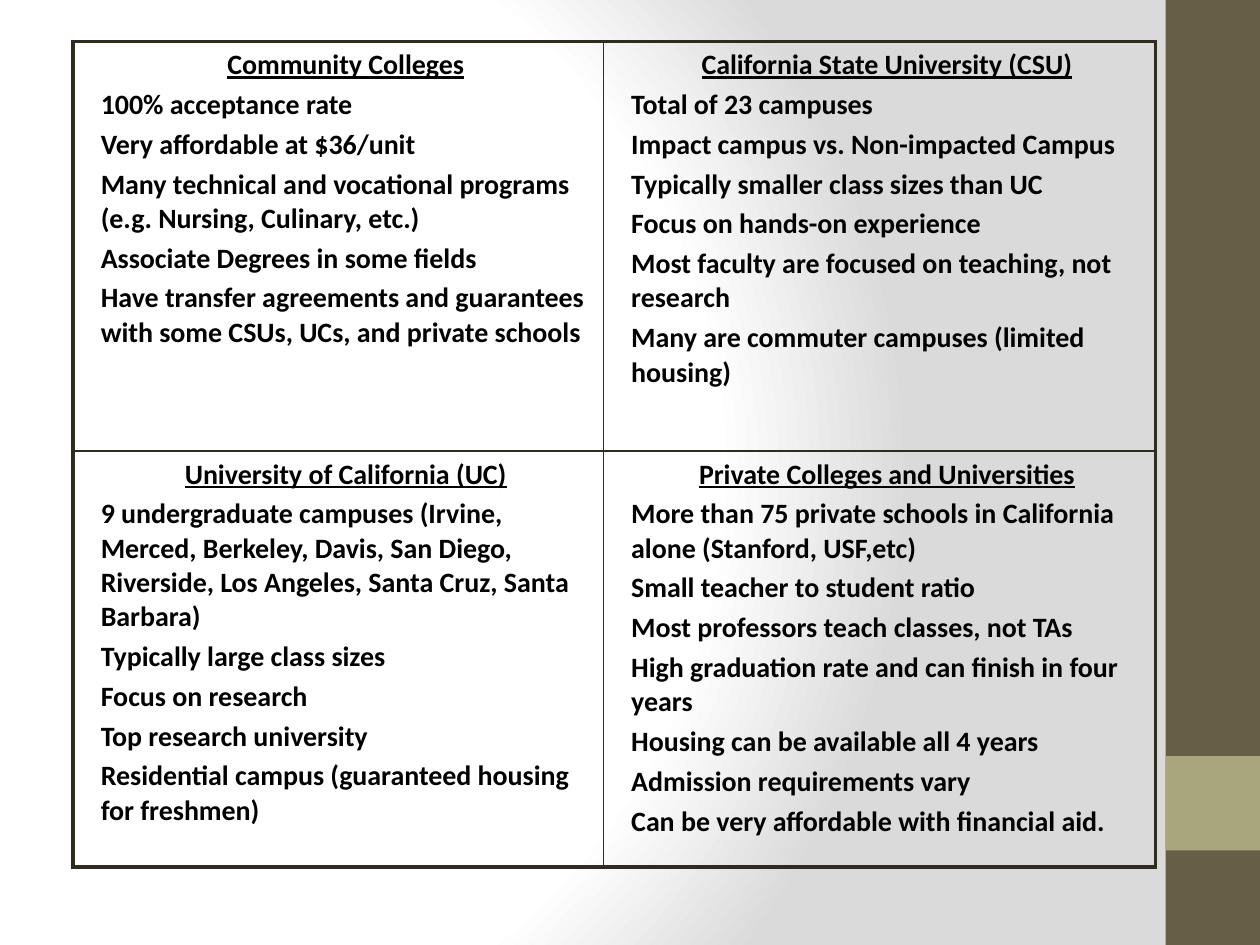
from lxml import etree
from pptx import Presentation, util as u
from pptx.dml.color import RGBColor
from pptx.enum import shapes, text
from pptx.oxml import parse_xml
from pptx.oxml.ns import nsdecls, qn

COLORS = {
    "text": "000000", "border": "2F2B20", "sidebar": "675E47",
    "accent": "A9A57C", "light": "FFFFFF", "shade": "DADADA",
}

# Content: two rows of two college systems, each a heading and its facts
SYSTEMS = [
    [
        ("Community Colleges", [
            "100% acceptance rate",
            "Very affordable at $36/unit",
            "Many technical and vocational programs (e.g. Nursing, Culinary, etc.)",
            "Associate Degrees in some fields",
            "Have transfer agreements and guarantees with some CSUs, UCs, and private schools",
        ]),
        ("California State University (CSU)", [
            "Total of 23 campuses",
            "Impact campus vs. Non-impacted Campus",
            "Typically smaller class sizes than UC",
            "Focus on hands-on experience",
            "Most faculty are focused on teaching, not research",
            "Many are commuter campuses (limited housing)",
        ]),
    ],
    [
        ("University of California (UC)", [
            "9 undergraduate campuses (Irvine, Merced, Berkeley, Davis, San Diego, "
            "Riverside, Los Angeles, Santa Cruz, Santa Barbara)",
            "Typically large class sizes",
            "Focus on research",
            "Top research university",
            "Residential campus (guaranteed housing for freshmen)",
        ]),
        ("Private Colleges and Universities", [
            "More than 75 private schools in California alone (Stanford, USF,etc)",
            "Small teacher to student ratio",
            "Most professors teach classes, not TAs",
            "High graduation rate and can finish in four years",
            "Housing can be available all 4 years",
            "Admission requirements vary",
            "Can be very affordable with financial aid.",
        ]),
    ],
]
COLUMN_WIDTHS = [4.21, 4.38]
ROW_HEIGHTS = [3.25, 3.3]
SIDEBAR = [("sidebar", 0, 7.5), ("accent", 6, 0.75)]  # colour, top, height
BACKGROUND_STOPS = [(0, "light"), (75, "light"), (100, "shade")]
OUTER, INNER = 2.25, 1


def write(paragraph, words, size=16, underline=False, align=text.PP_ALIGN.LEFT,
          before=0.0, indent=0.12):
    properties = paragraph._p.get_or_add_pPr()
    properties.set("marL", str(u.Inches(indent)))
    properties.set("indent", "0")
    paragraph.alignment = align
    paragraph.space_before = u.Pt(before)
    run = paragraph.add_run()
    run.text = words
    run.font.name = "Calibri"
    run.font.size = u.Pt(size)
    run.font.bold = True
    run.font.underline = underline
    run.font.color.rgb = RGBColor.from_string(COLORS["text"])


def set_borders(cell, widths):
    properties = cell._tc.get_or_add_tcPr()
    for position, (side, width) in enumerate(widths.items()):
        properties.insert(position, parse_xml(
            f'<a:ln{side} {nsdecls("a")} w="{u.Pt(width)}"><a:solidFill>'
            f'<a:srgbClr val="{COLORS["border"]}"/></a:solidFill></a:ln{side}>'))


def set_background(slide):
    slide.background.fill.gradient()
    gradient = slide.element.find(".//" + qn("a:gradFill"))
    for child in list(gradient):
        gradient.remove(child)
    stops = etree.SubElement(gradient, qn("a:gsLst"))
    for percent, color in BACKGROUND_STOPS:
        stop = etree.SubElement(stops, qn("a:gs"), pos=str(percent * 1000))
        etree.SubElement(stop, qn("a:srgbClr"), val=COLORS[color])
    circle = etree.SubElement(gradient, qn("a:path"))
    circle.set("path", "circle")
    etree.SubElement(circle, qn("a:fillToRect"),
                     l="20000", t="50000", r="100000", b="50000")


def main():
    deck = Presentation()
    deck.slide_width, deck.slide_height = u.Inches(10), u.Inches(7.5)
    slide = deck.slides.add_slide(deck.slide_layouts[6])
    set_background(slide)

    # Sidebar
    for color, top, height in SIDEBAR:
        band = slide.shapes.add_shape(
            shapes.MSO_SHAPE.RECTANGLE, u.Inches(9.25), u.Inches(top),
            u.Inches(0.75), u.Inches(height))
        band.shadow.inherit = False
        band.fill.solid()
        band.fill.fore_color.rgb = RGBColor.from_string(COLORS[color])
        band.line.fill.background()

    # Comparison table
    comparison = slide.shapes.add_table(
        len(ROW_HEIGHTS), len(COLUMN_WIDTHS), u.Inches(0.58), u.Inches(0.33),
        u.Inches(sum(COLUMN_WIDTHS)), u.Inches(sum(ROW_HEIGHTS))).table
    comparison.first_row = comparison.horz_banding = False
    for column, width in zip(comparison.columns, COLUMN_WIDTHS):
        column.width = u.Inches(width)
    for row, height in zip(comparison.rows, ROW_HEIGHTS):
        row.height = u.Inches(height)

    last_row, last_column = len(ROW_HEIGHTS) - 1, len(COLUMN_WIDTHS) - 1
    for r, systems in enumerate(SYSTEMS):
        for c, (heading, facts) in enumerate(systems):
            cell = comparison.cell(r, c)
            cell.fill.background()
            set_borders(cell, {
                "L": OUTER if c == 0 else INNER,
                "R": OUTER if c == last_column else INNER,
                "T": OUTER if r == 0 else INNER,
                "B": OUTER if r == last_row else INNER,
            })
            frame = cell.text_frame
            write(frame.paragraphs[0], heading, underline=True,
                  align=text.PP_ALIGN.CENTER)
            for fact in facts:
                write(frame.add_paragraph(), fact, before=3.2)

    deck.save("out.pptx")


if __name__ == "__main__":
    main()
